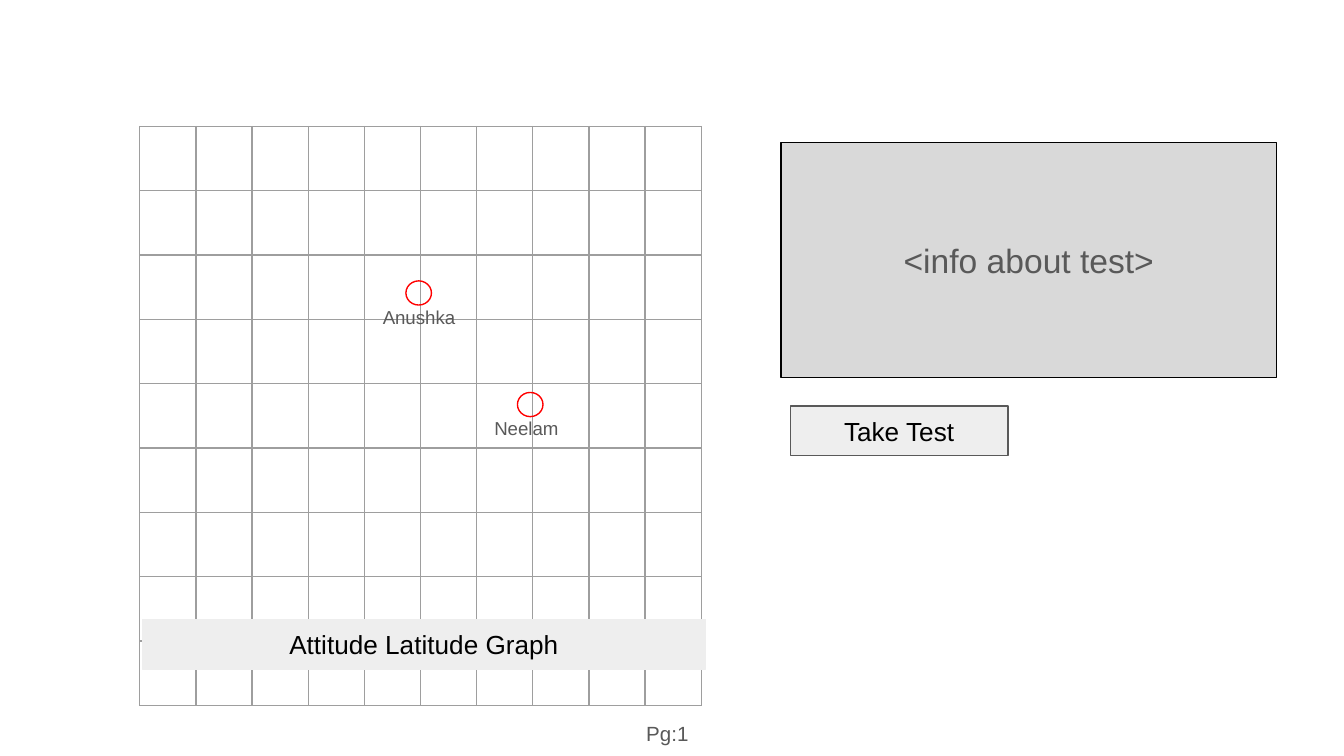
import dataclasses

import lxml.etree
import pptx
import pptx.dml.color
import pptx.enum.shapes
import pptx.enum.text
import pptx.oxml.ns
import pptx.util

Inches = pptx.util.Inches
Pt = pptx.util.Pt
SHAPES = pptx.enum.shapes.MSO_SHAPE
ALIGN = pptx.enum.text.PP_ALIGN
ANCHOR = pptx.enum.text.MSO_ANCHOR


@dataclasses.dataclass(frozen=True)
class Theme:
    font: str = "Arial"
    black: str = "000000"
    gray: str = "595959"
    grid: str = "9E9E9E"
    panel: str = "D9D9D9"
    light: str = "EEEEEE"
    marker: str = "FF0000"
    info_size: int = 18
    label_size: int = 14
    page_size: int = 11
    name_size: int = 10
    line: float = 0.75
    inset: float = 0.1


def rgb(value):
    return pptx.dml.color.RGBColor.from_string(value)


def write_text(sp, text, *, theme, size, color, align=ALIGN.LEFT, anchor=ANCHOR.TOP):
    tf = sp.text_frame
    tf.word_wrap = True
    tf.vertical_anchor = anchor
    tf.margin_left = tf.margin_right = Inches(theme.inset)
    tf.margin_top = tf.margin_bottom = Inches(theme.inset)
    p = tf.paragraphs[0]
    p.alignment = align
    r = p.add_run()
    r.text = text
    r.font.name = theme.font
    r.font.size = Pt(size)
    r.font.color.rgb = rgb(color)


class Builder:
    def __init__(self, s, theme):
        self.s = s
        self.theme = theme

    def shape(self, kind, x, y, w, h, line, fill=None):
        sp = self.s.shapes.add_shape(kind, Inches(x), Inches(y), Inches(w), Inches(h))
        sp.shadow.inherit = False
        sp.line.color.rgb = rgb(line)
        sp.line.width = Pt(self.theme.line)
        if fill:
            sp.fill.solid()
            sp.fill.fore_color.rgb = rgb(fill)
        else:
            sp.fill.background()
        return sp

    def box(self, text, x, y, w, h, fill, line, size, color):
        sp = self.shape(SHAPES.RECTANGLE, x, y, w, h, line, fill)
        write_text(sp, text, theme=self.theme, size=size, color=color,
                   align=ALIGN.CENTER, anchor=ANCHOR.MIDDLE)

    def label(self, text, x, y, w, size):
        sp = self.s.shapes.add_textbox(Inches(x), Inches(y), Inches(w), Inches(0.18))
        write_text(sp, text, theme=self.theme, size=size, color=self.theme.gray)

    def person(self, name, x, y):
        self.shape(SHAPES.OVAL, x, y, 0.19, 0.18, self.theme.marker)
        self.label(name, x - 0.27, y + 0.1, 1.06, self.theme.name_size)

    def border(self, cell):
        tc_pr = cell._tc.get_or_add_tcPr()
        qn = pptx.oxml.ns.qn
        for side in ("a:lnL", "a:lnR", "a:lnT", "a:lnB"):
            ln = lxml.etree.SubElement(tc_pr, qn(side), w=str(Pt(self.theme.line)))
            fill = lxml.etree.SubElement(ln, qn("a:solidFill"))
            lxml.etree.SubElement(fill, qn("a:srgbClr"), val=self.theme.grid)

    def grid(self, rows, cols, x, y, w, h):
        table = self.s.shapes.add_table(
            rows, cols, Inches(x), Inches(y), Inches(w), Inches(h)).table
        table.first_row = table.horz_banding = False
        for cell in table.iter_cells():
            self.border(cell)
            cell.fill.background()


def main():
    prs = pptx.Presentation()
    prs.slide_width = Inches(10)
    prs.slide_height = Inches(10 * 9 / 16)
    s = prs.slides.add_slide(prs.slide_layouts[6])
    theme = Theme()
    b = Builder(s, theme)

    b.grid(9, 10, 1.04, 0.94, 4.18, 4.31)
    b.box("<info about test>", 5.81, 1.06, 3.69, 1.75,
          theme.panel, theme.black, theme.info_size, theme.gray)
    b.box("Take Test", 5.88, 3.02, 1.62, 0.37,
          theme.light, theme.gray, theme.label_size, theme.black)
    b.box("Attitude Latitude Graph", 1.06, 4.61, 4.19, 0.37,
          theme.light, theme.light, theme.label_size, theme.black)
    for name, x, y in (("Anushka", 3.02, 2.09), ("Neelam", 3.85, 2.92)):
        b.person(name, x, y)
    b.label("Pg:1", 4.71, 5.28, 0.85, theme.page_size)

    prs.save("out.pptx")


if __name__ == "__main__":
    main()
